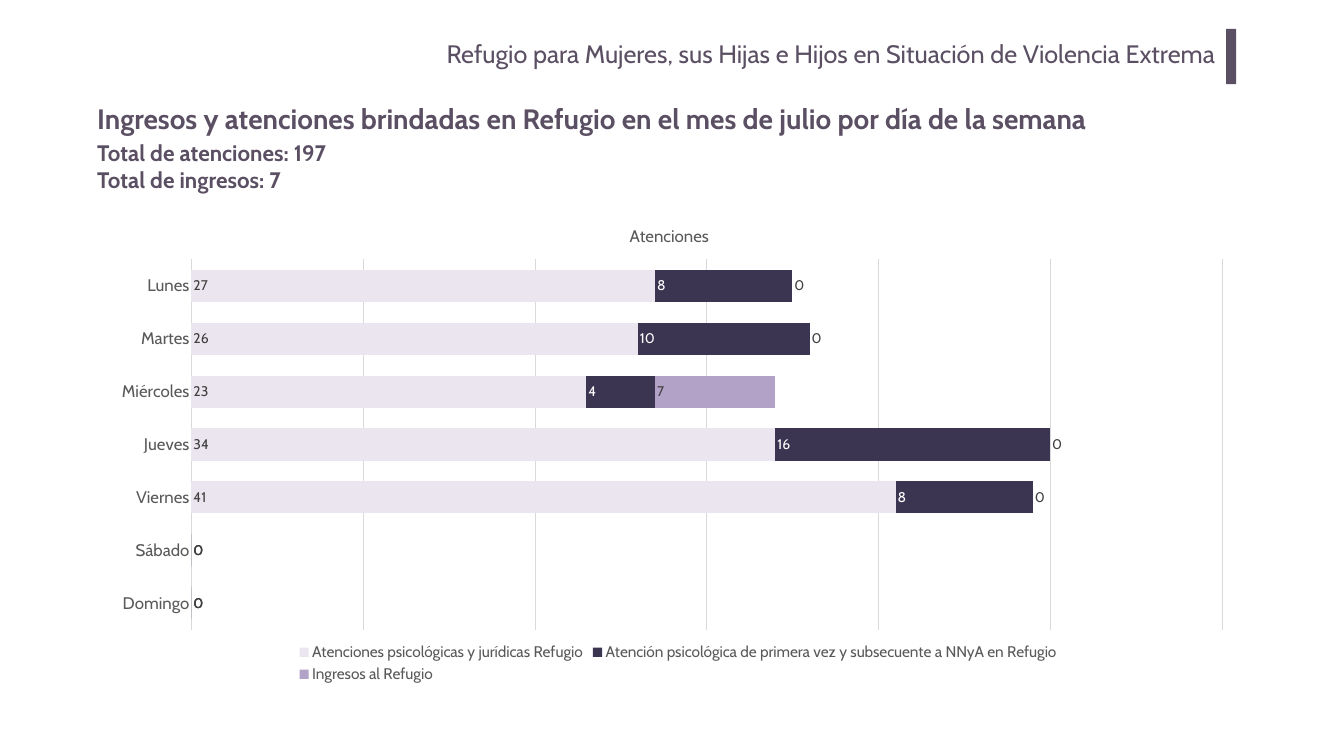
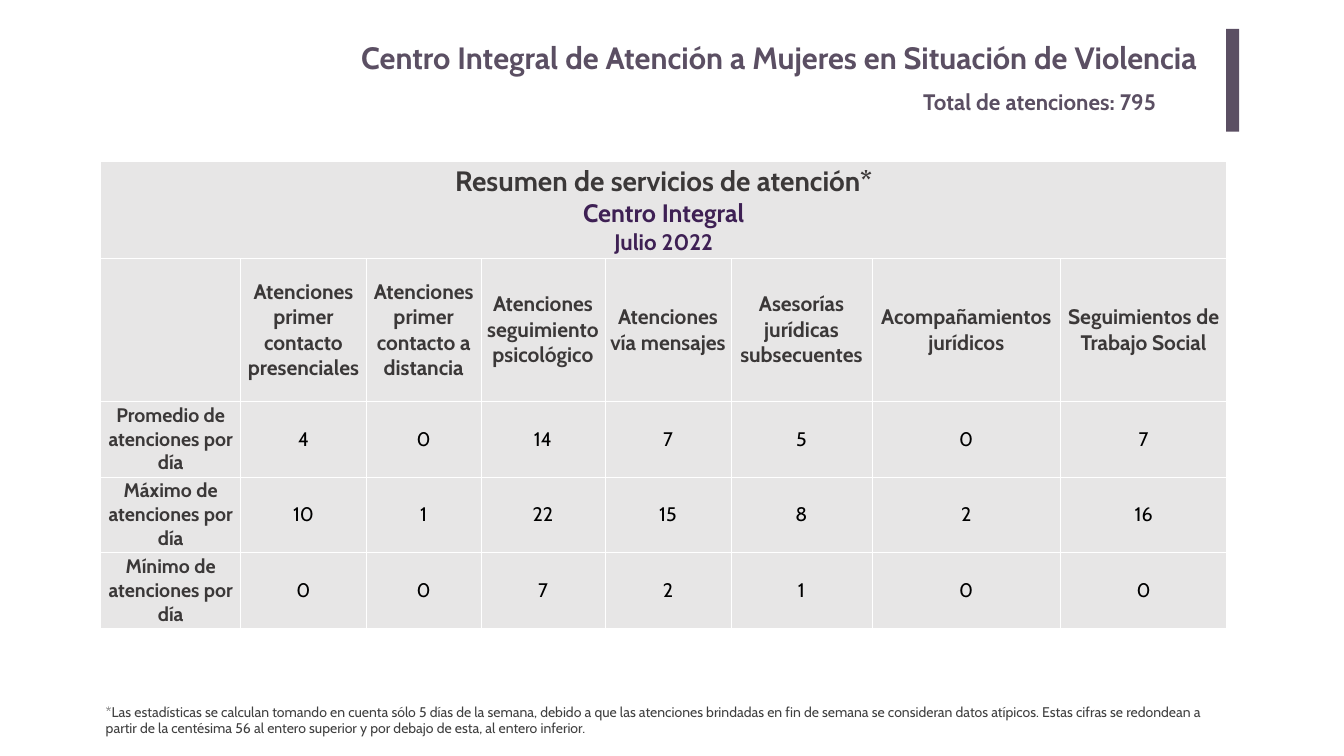
from dataclasses import dataclass

from lxml import etree
from pptx import Presentation
from pptx.chart.data import CategoryChartData
from pptx.dml.color import RGBColor
from pptx.enum.chart import XL_CHART_TYPE, XL_LABEL_POSITION, XL_LEGEND_POSITION, XL_TICK_MARK
from pptx.enum.shapes import MSO_SHAPE
from pptx.enum.text import MSO_ANCHOR, MSO_AUTO_SIZE, PP_ALIGN
from pptx.oxml.ns import qn
from pptx.util import Cm, Pt

STACKED_BARS = XL_CHART_TYPE.BAR_STACKED
INSIDE_BASE = XL_LABEL_POSITION.INSIDE_BASE
LEGEND_BOTTOM = XL_LEGEND_POSITION.BOTTOM
NO_TICK = XL_TICK_MARK.NONE
RECTANGLE = MSO_SHAPE.RECTANGLE
TOP, MIDDLE = MSO_ANCHOR.TOP, MSO_ANCHOR.MIDDLE
NO_AUTOFIT = MSO_AUTO_SIZE.NONE
LEFT, CENTER, RIGHT, JUSTIFY = PP_ALIGN.LEFT, PP_ALIGN.CENTER, PP_ALIGN.RIGHT, PP_ALIGN.JUSTIFY
TITLE_ONLY = 5


@dataclass(frozen=True)
class Theme:
    font: str = "Cabin"
    plum: str = "5B4F63"
    violet: str = "3E2054"
    charcoal: str = "3B3838"
    label: str = "404040"
    axis: str = "595959"
    grid: str = "D9D9D9"
    cell: str = "E7E6E6"
    white: str = "FFFFFF"
    black: str = "000000"
    series: tuple = ("EBE5EF", "3C3551", "B3A2C7")
    heading_size: int = 40
    title_size: int = 36
    strong_title_size: int = 44
    total_size: int = 32
    column_size: int = 30
    body_size: int = 28
    axis_size: int = 24
    legend_size: int = 22
    small_size: int = 20


THEME = Theme()

DAYS = ["Domingo", "Sábado", "Viernes", "Jueves", "Miércoles", "Martes", "Lunes"]
DAILY_SERIES = {
    "Atenciones psicológicas y jurídicas Refugio": [0, 0, 41, 34, 23, 26, 27],
    "Atención psicológica de primera vez y subsecuente a NNyA en Refugio": [0, 0, 8, 16, 4, 10, 8],
    "Ingresos al Refugio": [0, 0, 0, 0, 7, 0, 0],
}
DARK_SERIES = 1

SUMMARY_HEADING = [
    ("Resumen de servicios de atención*", THEME.heading_size, THEME.charcoal),
    ("Centro Integral", THEME.title_size, THEME.violet),
    ("Julio 2022", THEME.total_size, THEME.violet),
]
SERVICES = [
    "Atenciones primer contacto presenciales",
    "Atenciones primer contacto a distancia",
    "Atenciones seguimiento psicológico",
    "Atenciones vía mensajes",
    "Asesorías jurídicas subsecuentes",
    "Acompañamientos jurídicos",
    "Seguimientos de Trabajo Social",
]
DAILY_FIGURES = {
    "Promedio": [4, 0, 14, 7, 5, 0, 7],
    "Máximo": [10, 1, 22, 15, 8, 2, 16],
    "Mínimo": [0, 0, 7, 2, 1, 0, 0],
}
COLUMN_WIDTHS = [7.04, 6.35, 5.77, 6.25, 6.35, 7.11, 9.5, 8.38]
ROW_HEIGHTS = [4.88, 7.19, 3.81, 3.81, 3.81]
FOOTNOTE = (
    "*Las estadísticas se calculan tomando en cuenta sólo 5 días de la semana, debido a que las "
    "atenciones brindadas en fin de semana se consideran datos atípicos. Estas cifras se redondean "
    "a partir de la centésima 56 al entero superior y por debajo de esta, al entero inferior."
)


def rgb(color):
    return RGBColor.from_string(color)


def style_font(font, size, color, bold=False):
    font.name = THEME.font
    font.size = Pt(size)
    font.bold = bold
    font.color.rgb = rgb(color)


def write_lines(frame, lines, align):
    """Fill a text frame with (text, size, color, bold) paragraphs."""
    for index, (text, *style) in enumerate(lines):
        para = frame.add_paragraph() if index else frame.paragraphs[0]
        para.text = text
        para.alignment = align
        style_font(para.font, *style)


def add_text(page, lines, left, top, width, height, align=LEFT, anchor=TOP):
    box = page.shapes.add_textbox(Cm(left), Cm(top), Cm(width), Cm(height))
    frame = box.text_frame
    frame.word_wrap = True
    frame.vertical_anchor = anchor
    write_lines(frame, lines, align)
    return frame


def add_page(deck, title, left, size, bold, bar_width, bar_height):
    """Add a page with its right-aligned title and the plum bar beside it."""
    page = deck.slides.add_slide(deck.slide_layouts[TITLE_ONLY])
    holder = page.shapes.title
    holder.left, holder.top, holder.width, holder.height = Cm(left), Cm(1.7), Cm(51.56), Cm(2.59)
    frame = holder.text_frame
    frame.word_wrap = True
    frame.auto_size = NO_AUTOFIT
    frame.vertical_anchor = TOP
    frame.margin_left = frame.margin_right = Cm(0.51)
    frame.margin_top = frame.margin_bottom = Cm(0.25)
    write_lines(frame, [(title, size, THEME.plum, bold)], RIGHT)

    bar = page.shapes.add_shape(RECTANGLE, Cm(61.8), Cm(1.45), Cm(bar_width), Cm(bar_height))
    bar.shadow.inherit = False
    bar.fill.solid()
    bar.fill.fore_color.rgb = rgb(THEME.plum)
    bar.line.fill.background()
    return page


def place_chart_part(element, index, inner=False, **position):
    """Give a chart part a manual layout, as fractions of the chart."""
    for old in element.findall(qn("c:layout")):
        element.remove(old)
    layout = etree.Element(qn("c:layout"))
    manual = etree.SubElement(layout, qn("c:manualLayout"))
    if inner:
        etree.SubElement(manual, qn("c:layoutTarget"), val="inner")
    for axis in "xy":
        etree.SubElement(manual, qn(f"c:{axis}Mode"), val="edge")
    for key, value in position.items():
        etree.SubElement(manual, qn(f"c:{key}"), val=str(value))
    element.insert(index, layout)


def style_line(line):
    line.color.rgb = rgb(THEME.grid)
    line.width = Pt(0.75)


def style_axes(chart):
    days = chart.category_axis
    days.major_tick_mark = days.minor_tick_mark = NO_TICK
    style_font(days.tick_labels.font, THEME.axis_size, THEME.axis)
    style_line(days.format.line)

    values = chart.value_axis
    values.minimum_scale, values.maximum_scale, values.major_unit = 0, 60, 10
    values.has_major_gridlines = True
    style_line(values.major_gridlines.format.line)
    values.visible = False


def style_series(plot):
    plot.gap_width, plot.overlap = 65, 100
    plot.vary_by_categories = False
    for series, color in zip(plot.series, THEME.series):
        series.format.fill.solid()
        series.format.fill.fore_color.rgb = rgb(color)
        labels = series.data_labels
        labels.show_value = True
        labels.position = INSIDE_BASE
        style_font(labels.font, THEME.small_size, THEME.label)
    dark = plot.series[DARK_SERIES]
    for index, value in enumerate(dark.values):
        if value:
            label = dark.points[index].data_label
            style_font(label.font, THEME.small_size, THEME.white)
            label.position = INSIDE_BASE


def add_daily_chart(page):
    data = CategoryChartData()
    data.categories = DAYS
    for name, values in DAILY_SERIES.items():
        data.add_series(name, values)
    frame = page.shapes.add_chart(STACKED_BARS, Cm(5.03), Cm(10.41), Cm(57.71), Cm(24.23), data)
    chart = frame.chart
    style_font(chart.font, THEME.small_size, THEME.label)
    style_axes(chart)
    style_series(chart.plots[0])

    chart.has_title = True
    title = chart.chart_title
    write_lines(title.text_frame, [("Atenciones", THEME.axis_size, THEME.axis, False)], CENTER)
    chart.has_legend = True
    legend = chart.legend
    legend.position = LEGEND_BOTTOM
    legend.include_in_layout = False
    style_font(legend.font, THEME.legend_size, THEME.axis)

    plot_area = chart.plots[0]._element.getparent()
    place_chart_part(plot_area, 0, inner=True, x=0.08, y=0.11, w=0.9, h=0.77)
    place_chart_part(title._element, 1, x=0.46, y=0.03)
    place_chart_part(legend._element, 1, x=0.17, y=0.9, w=0.67, h=0.1)


def add_cell_borders(cell):
    properties = cell._tc.get_or_add_tcPr()
    for index, side in enumerate(("lnL", "lnR", "lnT", "lnB")):
        line = etree.Element(qn(f"a:{side}"), w=str(Pt(1)))
        fill = etree.SubElement(line, qn("a:solidFill"))
        etree.SubElement(fill, qn("a:srgbClr"), val=THEME.white)
        properties.insert(index, line)


def write_cell(cell, *lines):
    cell.margin_left = cell.margin_right = cell.margin_top = cell.margin_bottom = 0
    cell.vertical_anchor = MIDDLE
    write_lines(cell.text_frame, lines, CENTER)


def add_summary_table(page):
    frame = page.shapes.add_table(
        len(ROW_HEIGHTS), len(COLUMN_WIDTHS),
        Cm(5.08), Cm(8.15), Cm(sum(COLUMN_WIDTHS)), Cm(sum(ROW_HEIGHTS)),
    )
    table = frame.table
    table.first_row = table.horz_banding = False
    for column, width in zip(table.columns, COLUMN_WIDTHS):
        column.width = Cm(width)
    for row, height in zip(table.rows, ROW_HEIGHTS):
        row.height = Cm(height)
    for cell in table.iter_cells():
        cell.fill.solid()
        cell.fill.fore_color.rgb = rgb(THEME.cell)
        add_cell_borders(cell)

    heading = table.cell(0, 0)
    heading.merge(table.cell(0, len(COLUMN_WIDTHS) - 1))
    write_cell(heading, *((*line, True) for line in SUMMARY_HEADING))
    for column, service in enumerate(SERVICES, 1):
        write_cell(table.cell(1, column), (service, THEME.column_size, THEME.charcoal, True))
    for row, (measure, figures) in enumerate(DAILY_FIGURES.items(), 2):
        name = f"{measure} de atenciones por día"
        write_cell(table.cell(row, 0), (name, THEME.body_size, THEME.charcoal, True))
        for column, figure in enumerate(figures, 1):
            write_cell(table.cell(row, column), (str(figure), THEME.body_size, THEME.black, False))


def build_shelter_page(deck):
    title = "Refugio para Mujeres, sus Hijas e Hijos en Situación de Violencia Extrema"
    page = add_page(deck, title, 10.19, THEME.title_size, False, 0.51, 2.79)
    heading = "Ingresos y atenciones brindadas en Refugio en el mes de julio por día de la semana"
    frame = add_text(page, [(heading, THEME.heading_size, THEME.plum, True)],
                     4.65, 4.22, 55.5, 3.68, JUSTIFY, MIDDLE)
    frame.paragraphs[0].line_spacing = 0.9
    totals = ("Total de atenciones: 197", "Total de ingresos: 7")
    add_text(page, [(total, THEME.total_size, THEME.plum, True) for total in totals],
             4.65, 6.91, 14.33, 3)
    add_daily_chart(page)


def build_center_page(deck):
    title = "Centro Integral de Atención a Mujeres en Situación de Violencia"
    page = add_page(deck, title, 9.3, THEME.strong_title_size, True, 0.66, 5.18)
    add_text(page, [("Total de atenciones: 795", THEME.total_size, THEME.plum, True)],
             46.28, 4.34, 15.04, 1.63)
    add_summary_table(page)
    add_text(page, [(FOOTNOTE, THEME.small_size, THEME.label, False)], 5.08, 35.31, 56.72, 1.96)


def main():
    deck = Presentation()
    deck.slide_width, deck.slide_height = Cm(67.74), Cm(38.1)
    build_shelter_page(deck)
    build_center_page(deck)
    deck.save("out.pptx")


if __name__ == "__main__":
    main()
